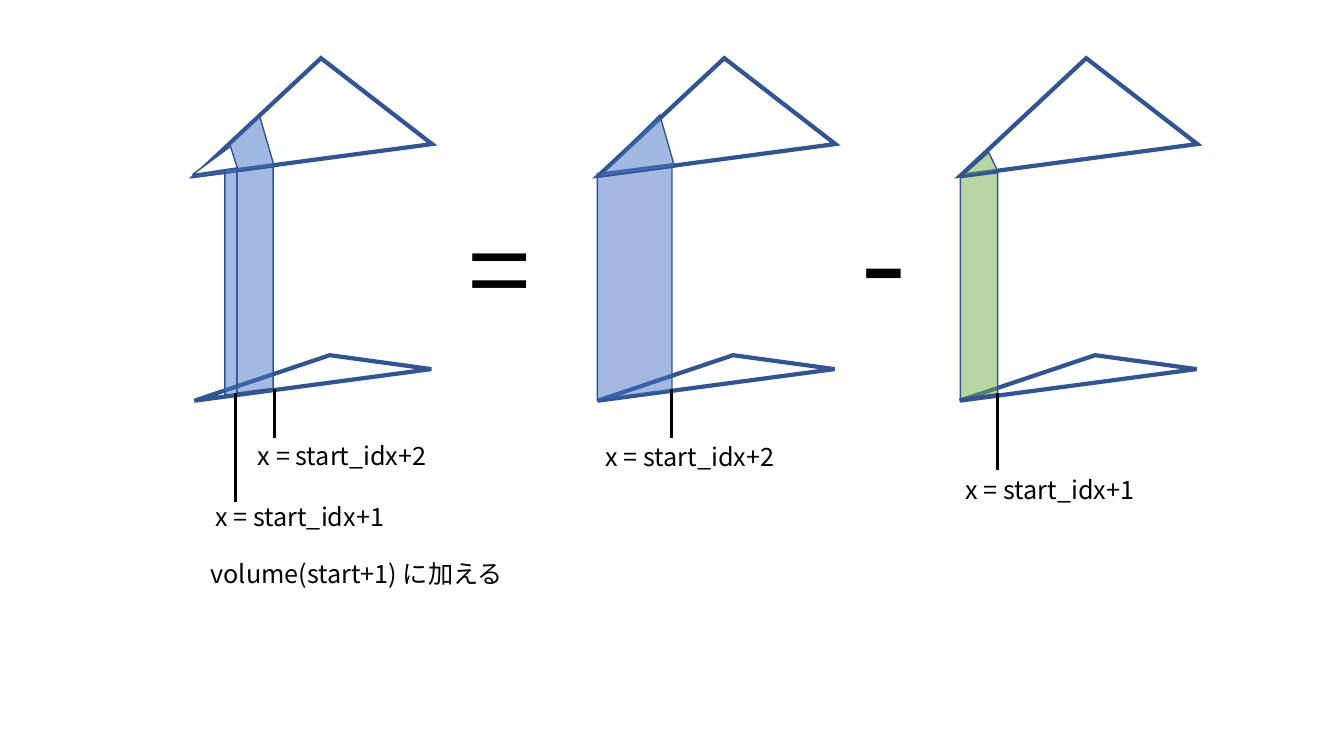
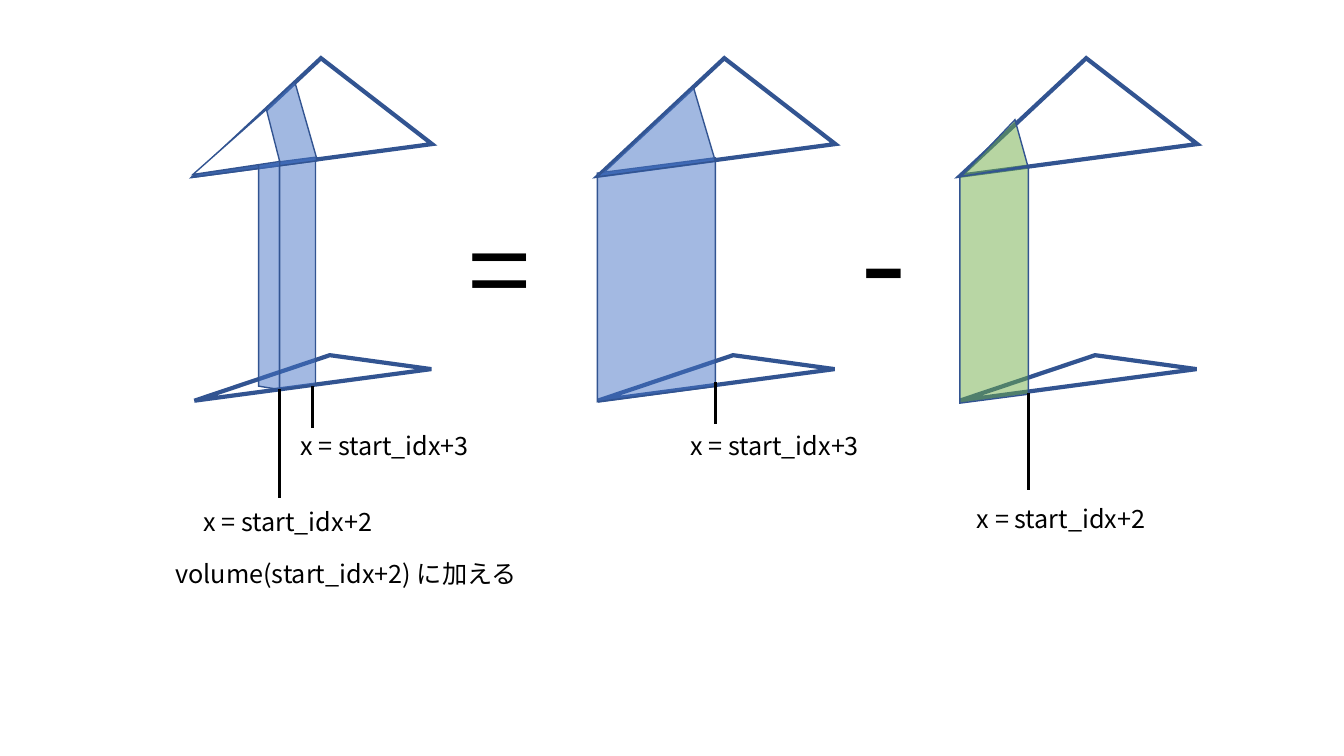
"""Two slides: the volume of a slice is a larger wedge minus a smaller one."""
from dataclasses import dataclass

from lxml import etree
from pptx import Presentation
from pptx import util as u
from pptx.dml.color import RGBColor
from pptx.enum import shapes, text
from pptx.oxml import ns


@dataclass(frozen=True)
class Theme:
    """Colours, type sizes and line widths of the deck."""
    blue: str = "4472C4"
    green: str = "70AD47"
    white: str = "FFFFFF"
    outline: str = "325491"
    ink: str = "000000"
    font: str = "Noto Sans CJK JP"
    label: int = 18
    equals: int = 80
    minus: int = 96
    thin: float = 1
    marker: float = 2.25
    thick: float = 3


THEME = Theme()
TILT = 352.4
SLICE_LEFT, LARGE_LEFT, SMALL_LEFT = 1.86, 5.86, 9.45


@dataclass(frozen=True)
class Wedge:
    """A column with its triangular cap: frames, colour, cap angle and peak."""
    column: tuple
    cap: tuple
    peak: float
    color: str = THEME.blue
    angle: float = TILT


@dataclass(frozen=True)
class Step:
    """Everything that changes from one slide to the next."""
    slice: Wedge
    large: Wedge
    small: Wedge
    side: tuple    # narrow face on the left of the slice
    cutout: Wedge  # white cap that hides the removed part
    markers: tuple  # x, top, bottom
    labels: tuple   # left, top, wording


STEPS = (
    Step(slice=Wedge((1.4, 2.59, 2.26, 0.36), (1.88, 1.19, 0.81, 0.52), 0.904),
         large=Wedge((5.12, 2.43, 2.35, 0.74), (5.89, 1.18, 0.77, 0.53), 0.899),
         small=Wedge((8.59, 2.65, 2.24, 0.37), (9.52, 1.53, 0.36, 0.19), 0.841,
                     THEME.green, 350.8),
         side=(1.14, 2.72, 2.3, 0.12),
         cutout=Wedge((), (1.89, 1.48, 0.45, 0.22), 0.921, THEME.white, 351.5),
         markers=((2.72, 3.86, 4.35), (2.34, 3.9, 4.98),
                  (6.66, 3.86, 4.35), (9.89, 3.9, 4.66)),
         labels=((2.46, 4.32, "x = start_idx+2"), (2.04, 4.92, "x = start_idx+1"),
                 (5.91, 4.33, "x = start_idx+2"), (9.48, 4.66, "x = start_idx+1"),
                 (1.99, 5.49, "volume(start+1) に加える"))),
    Step(slice=Wedge((1.8, 2.53, 2.3, 0.36), (1.86, 0.87, 1.24, 0.81), 0.904),
         large=Wedge((5.3, 2.19, 2.42, 1.17), (5.87, 0.92, 1.18, 0.76), 0.899),
         small=Wedge((8.69, 2.49, 2.34, 0.68), (9.49, 1.23, 0.67, 0.47), 0.923,
                     THEME.green, 350.8),
         side=(1.52, 2.61, 2.3, 0.21),
         cutout=Wedge((), (1.87, 1.14, 0.87, 0.53), 0.938, THEME.white, 351.5),
         markers=((3.1, 3.83, 4.25), (2.77, 3.86, 4.94),
                  (7.1, 3.79, 4.21), (10.2, 3.9, 4.86)),
         labels=((2.88, 4.22, "x = start_idx+3"), (1.92, 4.97, "x = start_idx+2"),
                 (6.75, 4.22, "x = start_idx+3"), (9.59, 4.94, "x = start_idx+2"),
                 (1.64, 5.49, "volume(start_idx+2) に加える"))),
)


def inches(lengths):
    """Turn a row of numbers into lengths."""
    return [u.Inches(length) for length in lengths]


def add_outline(page, kind, frame, *, angle, adjust, fill=None, opacity=50,
                width=THEME.thin, flip=False):
    """Add a rotated preset shape with a mitred line and an optional fill."""
    shape = page.shapes.add_shape(kind, *inches(frame))
    shape.shadow.inherit = False
    shape.rotation = angle
    shape.adjustments[0] = adjust
    shape.line.color.rgb = RGBColor.from_string(THEME.outline)
    shape.line.width = u.Pt(width)
    properties = shape.element.spPr
    etree.SubElement(properties.find(ns.qn("a:ln")), ns.qn("a:miter"), lim="800000")
    if flip:
        properties.find(ns.qn("a:xfrm")).set("flipV", "1")
    if fill is None:
        shape.fill.background()
        return
    shape.fill.solid()
    shape.fill.fore_color.rgb = RGBColor.from_string(fill)
    if opacity < 100:
        color = properties.find(ns.qn("a:solidFill"))[0]
        etree.SubElement(color, ns.qn("a:alpha"), val=str(opacity * 1000))


def add_triangle(page, frame, peak=0.587, angle=TILT, **style):
    """Add a tilted triangle."""
    add_outline(page, shapes.MSO_SHAPE.ISOSCELES_TRIANGLE, frame,
                angle=angle, adjust=peak, **style)


def add_face(page, frame, **style):
    """Add an upright face of a column."""
    add_outline(page, shapes.MSO_SHAPE.PARALLELOGRAM, frame, opacity=49, **style)


def add_prism(page, left, wedge):
    """Add the roof and base triangles with a wedge cut from them."""
    add_triangle(page, (left, 0.6, 2.37, 0.99), width=THEME.thick)
    add_triangle(page, (left + 0.04, 3.55, 2.37, 0.27), width=THEME.thick)
    add_face(page, wedge.column, angle=90, adjust=0.13, flip=True, fill=wedge.color)
    add_triangle(page, wedge.cap, wedge.peak, wedge.angle, fill=wedge.color)


def add_text(page, wording, left, top, width, height, *, size=THEME.label):
    """Add one line of text."""
    box = page.shapes.add_textbox(*inches((left, top, width, height)))
    frame = box.text_frame
    frame.word_wrap = True
    frame.auto_size = text.MSO_AUTO_SIZE.SHAPE_TO_FIT_TEXT
    span = frame.paragraphs[0].add_run()
    span.text = wording
    span.font.size = u.Pt(size)
    span.font.name = THEME.font
    span.font.color.rgb = RGBColor.from_string(THEME.ink)
    etree.SubElement(span.font._element, ns.qn("a:ea"), typeface=THEME.font)


def add_marker(page, x, top, bottom):
    """Add a vertical line that leads down to a label."""
    line = page.shapes.add_connector(shapes.MSO_CONNECTOR.STRAIGHT,
                                     *inches((x, top, x, bottom)))
    line.line.color.rgb = RGBColor.from_string(THEME.ink)
    line.line.width = u.Pt(THEME.marker)
    etree.SubElement(line.element.spPr, ns.qn("a:effectLst"))


def add_step(deck, step):
    """Add the slide of one subtraction."""
    page = deck.slides.add_slide(deck.slide_layouts[6])
    add_prism(page, SMALL_LEFT, step.small)
    add_prism(page, LARGE_LEFT, step.large)
    add_prism(page, SLICE_LEFT, step.slice)
    add_face(page, step.side, angle=270, adjust=0.164, fill=THEME.blue)
    cutout = step.cutout
    add_triangle(page, cutout.cap, cutout.peak, cutout.angle,
                 fill=cutout.color, opacity=100)
    add_text(page, "=", 4.55, 1.94, 1.1, 1.45, size=THEME.equals)
    add_text(page, "-", 8.44, 1.71, 1.23, 1.72, size=THEME.minus)
    for marker in step.markers:
        add_marker(page, *marker)
    for left, top, wording in step.labels:
        width = 3.71 if wording.startswith("volume") else 2.17
        add_text(page, wording, left, top, width, 0.4)


def main():
    """Build and save the deck."""
    deck = Presentation()
    deck.slide_width, deck.slide_height = inches((13.33, 7.5))
    for step in STEPS:
        add_step(deck, step)
    deck.save("out.pptx")


main()
